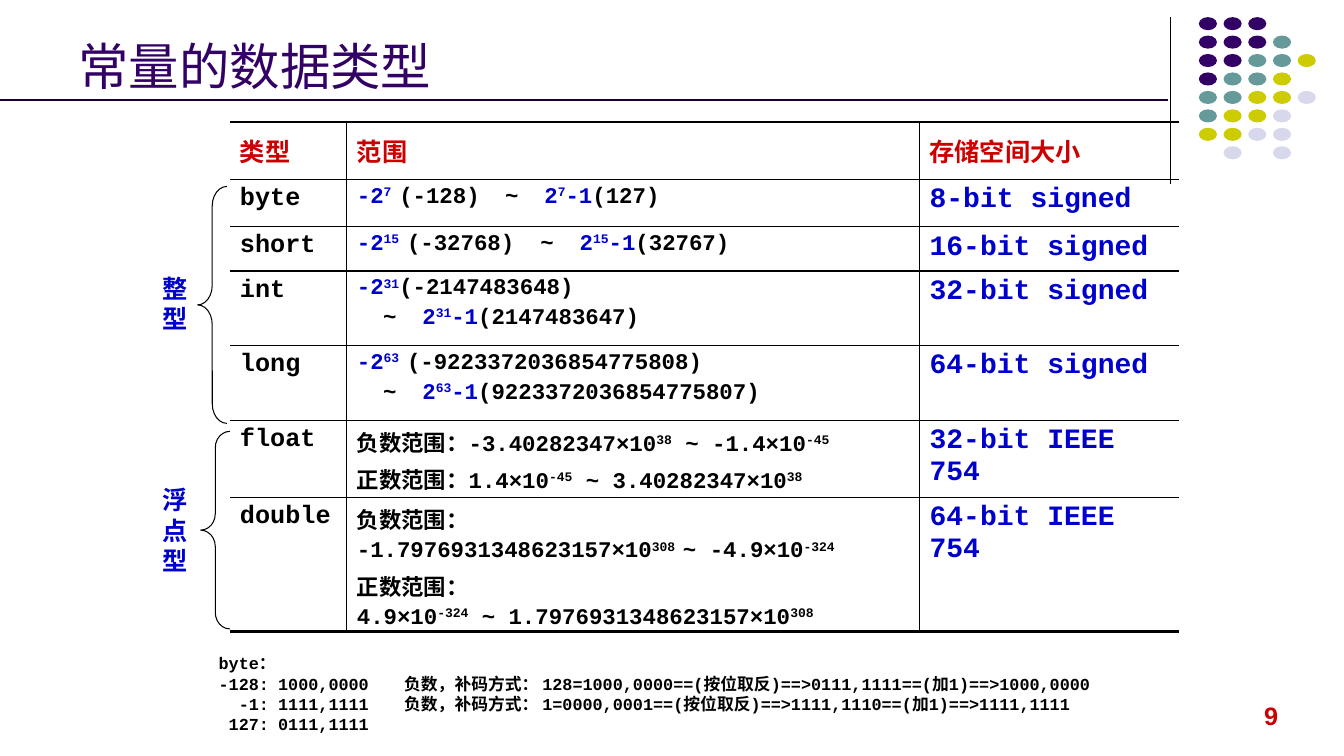
from lxml import etree
from pptx import Presentation
from pptx.dml.color import RGBColor
from pptx.enum import shapes, text
from pptx.oxml import ns
from pptx.util import Inches, Pt

COLORS = {
    "purple": "330066", "teal": "669999", "lime": "CCCC00", "lavender": "D8D8EC",
    "black": "000000", "blue": "0000CC", "red": "CC0000", "rule": "190033",
}
DOT_COLORS = {"P": "purple", "T": "teal", "Y": "lime", "L": "lavender"}
DOT_ROWS = ["PPP", "PPPT", "PPTTY", "PTTY", "TTYYL", "TYYL", "YYLL", " L L"]

COLUMN_WIDTHS = [1.16, 5.68, 2.57]
ROW_HEIGHTS = [0.57, 0.47, 0.44, 0.74, 0.74, 0.74, 1.33]
HEADERS = ["类型", "范围", "存储空间大小"]
TILDE_GAP = 0.39

# Superscripts are written between ^ marks.
FLOAT_RANGE = [
    "负数范围：-3.40282347×10^38^ ~ -1.4×10^-45^",
    "正数范围：1.4×10^-45^ ~ 3.40282347×10^38^",
]
DOUBLE_RANGE = [
    "负数范围：",
    "-1.7976931348623157×10^308 ^~ -4.9×10^-324^",
    "正数范围：",
    "4.9×10^-324^ ~ 1.7976931348623157×10^308^",
]
BYTE_NOTES = [
    "byte：",
    "\t-128:\t1000,0000\t负数，补码方式：\t128=1000,0000==(按位取反)==>0111,1111==(加1)==>1000,0000",
    "\t-1:\t1111,1111\t负数，补码方式：\t1=0000,0001==(按位取反)==>1111,1110==(加1)==>1111,1111",
    "\t127:\t0111,1111",
]
NOTE_TABS = [(0.5, "r"), (0.59, "l"), (1.84, "l"), (3.21, "l")]


def rgb(name):
    return RGBColor.from_string(COLORS[name])


def add_run(paragraph, content, size, color, font="Courier New", bold=True, raised=False):
    run = paragraph.add_run()
    run.text = content
    run.font.size = Pt(size)
    run.font.name = font
    run.font.bold = bold
    run.font.color.rgb = rgb(color)
    if raised:
        run.font._element.set("baseline", "30000")


def add_marked(paragraph, content, size, color):
    """Add runs, raising each part that stands between ^ marks."""
    for index, part in enumerate(content.split("^")):
        if part:
            add_run(paragraph, part, size, color, raised=index % 2 == 1)


def set_tabs(paragraph, stops):
    tab_list = etree.SubElement(paragraph._p.get_or_add_pPr(), ns.qn("a:tabLst"))
    for position, alignment in stops:
        etree.SubElement(tab_list, ns.qn("a:tab"), pos=str(Inches(position)), algn=alignment)


def paragraphs_of(frame, count):
    """Return the frame's first paragraph followed by newly added ones."""
    return [frame.paragraphs[0]] + [frame.add_paragraph() for _ in range(count - 1)]


def add_text(slide, left, top, width, height, lines, size, color, font="Arial",
             bold=True, wrap=True, anchor=text.MSO_ANCHOR.TOP, tabs=()):
    box = slide.shapes.add_textbox(Inches(left), Inches(top), Inches(width), Inches(height))
    frame = box.text_frame
    frame.word_wrap = wrap
    frame.vertical_anchor = anchor
    for paragraph, line in zip(paragraphs_of(frame, len(lines)), lines):
        if tabs:
            set_tabs(paragraph, tabs)
        add_run(paragraph, line, size, color, font, bold)


def add_line(slide, x1, y1, x2, y2, color, width):
    line = slide.shapes.add_connector(
        shapes.MSO_CONNECTOR.STRAIGHT, Inches(x1), Inches(y1), Inches(x2), Inches(y2))
    line.line.color.rgb = rgb(color)
    line.line.width = Pt(width)
    etree.SubElement(line._element.spPr, ns.qn("a:effectLst"))


def add_dots(slide):
    group = slide.shapes.add_group_shape()
    for row, pattern in enumerate(DOT_ROWS):
        for column, key in enumerate(pattern):
            if key == " ":
                continue
            dot = group.shapes.add_shape(
                shapes.MSO_SHAPE.OVAL, Inches(11.89 + column * 0.245),
                Inches(0.17 + row * 0.183), Inches(0.18), Inches(0.13))
            dot.shadow.inherit = False
            dot.fill.solid()
            dot.fill.fore_color.rgb = rgb(DOT_COLORS[key])
            dot.line.fill.background()


def add_brace(slide, left, top, height, curve):
    brace = slide.shapes.add_shape(
        shapes.MSO_SHAPE.LEFT_BRACE, Inches(left), Inches(top), Inches(0.29), Inches(height))
    brace.adjustments[0] = curve
    brace.shadow.inherit = False
    brace.fill.background()
    brace.line.color.rgb = rgb("black")
    brace.line.width = Pt(0.75)


def set_borders(cell, widths):
    """Draw the left, right, top and bottom borders; a width of 0 hides one."""
    properties = cell._tc.get_or_add_tcPr()
    for index, (side, width) in enumerate(zip("LRTB", widths)):
        border = etree.Element(ns.qn(f"a:ln{side}"), w=str(Pt(width)))
        if width:
            fill = etree.SubElement(border, ns.qn("a:solidFill"))
            etree.SubElement(fill, ns.qn("a:srgbClr"), val=COLORS["black"])
        else:
            etree.SubElement(border, ns.qn("a:noFill"))
        properties.insert(index, border)


def fill_integer_range(cell, power, low, high, tilde_at, wrapped=False):
    """Write -2^n (low) ~ 2^n-1(high), on two lines if wrapped."""
    lines = paragraphs_of(cell.text_frame, 2 if wrapped else 1)
    set_tabs(lines[-1], [(tilde_at, "l"), (tilde_at + TILDE_GAP, "l")])
    if wrapped:
        lines[1].space_before = Pt(3.2)
    add_marked(lines[0], f"-2^{power}^", 16, "blue")
    add_run(lines[0], f"({low})", 16, "black")
    add_run(lines[-1], "\t~\t", 16, "black")
    add_marked(lines[-1], f"2^{power.strip()}^-1", 16, "blue")
    add_run(lines[-1], f"({high})", 16, "black")


def fill_real_range(cell, lines):
    for index, paragraph in enumerate(paragraphs_of(cell.text_frame, len(lines))):
        if index:
            paragraph.space_before = Pt(3.2)
        add_marked(paragraph, lines[index], 16, "black")


def add_type_table(slide):
    table = slide.shapes.add_table(
        len(ROW_HEIGHTS), len(COLUMN_WIDTHS), Inches(2.28), Inches(1.21),
        Inches(sum(COLUMN_WIDTHS)), Inches(sum(ROW_HEIGHTS))).table
    table.first_row = table.horz_banding = False
    for column, width in zip(table.columns, COLUMN_WIDTHS):
        column.width = Inches(width)
    last_row, last_column = len(ROW_HEIGHTS) - 1, len(COLUMN_WIDTHS) - 1
    for r, height in enumerate(ROW_HEIGHTS):
        table.rows[r].height = Inches(height)
        for c in range(len(COLUMN_WIDTHS)):
            cell = table.cell(r, c)
            cell.fill.background()
            set_borders(cell, [1 if c else 0, 1 if c < last_column else 0,
                               1 if r else 2.25, 1 if r < last_row else 2.25])

    for c, header in enumerate(HEADERS):
        cell = table.cell(0, c)
        cell.vertical_anchor = text.MSO_ANCHOR.MIDDLE
        add_run(cell.text_frame.paragraphs[0], header, 18, "red")

    types = [("byte", "8-bit signed"), ("short", "16-bit signed"), ("int", "32-bit signed"),
             ("long", "64-bit signed"), ("float", "32-bit IEEE 754"),
             ("double", "64-bit IEEE 754")]
    for r, (name, storage) in enumerate(types, 1):
        add_run(table.cell(r, 0).text_frame.paragraphs[0], name, 18, "black")
        add_run(table.cell(r, 2).text_frame.paragraphs[0], storage, 20, "blue")

    fill_integer_range(table.cell(1, 1), "7 ", "-128", "127", 1.47)
    fill_integer_range(table.cell(2, 1), "15 ", "-32768", "32767", 1.82)
    fill_integer_range(table.cell(3, 1), "31", "-2147483648", "2147483647", 0.26, True)
    fill_integer_range(table.cell(4, 1), "63 ", "-9223372036854775808",
                       "9223372036854775807", 0.26, True)
    fill_real_range(table.cell(5, 1), FLOAT_RANGE)
    fill_real_range(table.cell(6, 1), DOUBLE_RANGE)


def main():
    presentation = Presentation()
    presentation.slide_width = Inches(13.33)
    presentation.slide_height = Inches(7.5)
    slide = presentation.slides.add_slide(presentation.slide_layouts[6])

    add_line(slide, 11.61, 0.17, 11.61, 1.83, "black", 0.75)
    add_dots(slide)
    add_text(slide, 12.44, 6.9, 0.51, 0.4, ["9"], 18, "red", wrap=False)
    add_type_table(slide)
    add_brace(slide, 1.96, 1.85, 2.35, 0.67)
    add_brace(slide, 1.99, 4.28, 1.96, 0.56)
    add_text(slide, 1.51, 2.66, 0.46, 0.71, "整型", 18, "blue", wrap=False)
    add_text(slide, 1.51, 4.76, 0.46, 1.01, "浮点型", 18, "blue", wrap=False)
    add_text(slide, 2.07, 6.43, 9.52, 0.91, BYTE_NOTES, 12, "black",
             font="Courier New", tabs=NOTE_TABS)
    add_text(slide, 0.68, 0.21, 11, 0.79, ["常量的数据类型"], 36, "purple",
             bold=False, anchor=text.MSO_ANCHOR.BOTTOM)
    add_line(slide, 0, 0.99, 11.58, 0.99, "rule", 1.5)
    presentation.save("out.pptx")


if __name__ == "__main__":
    main()
